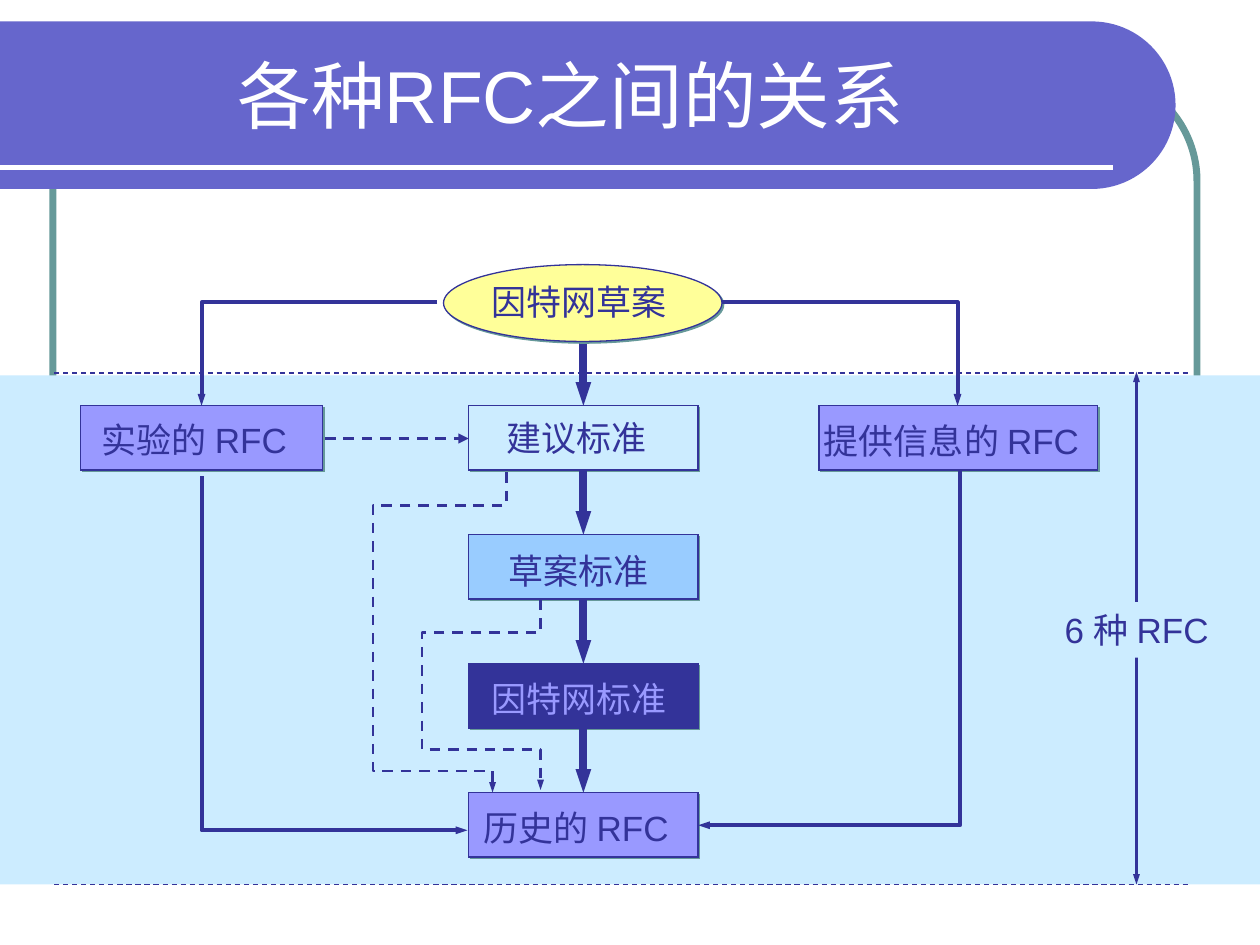
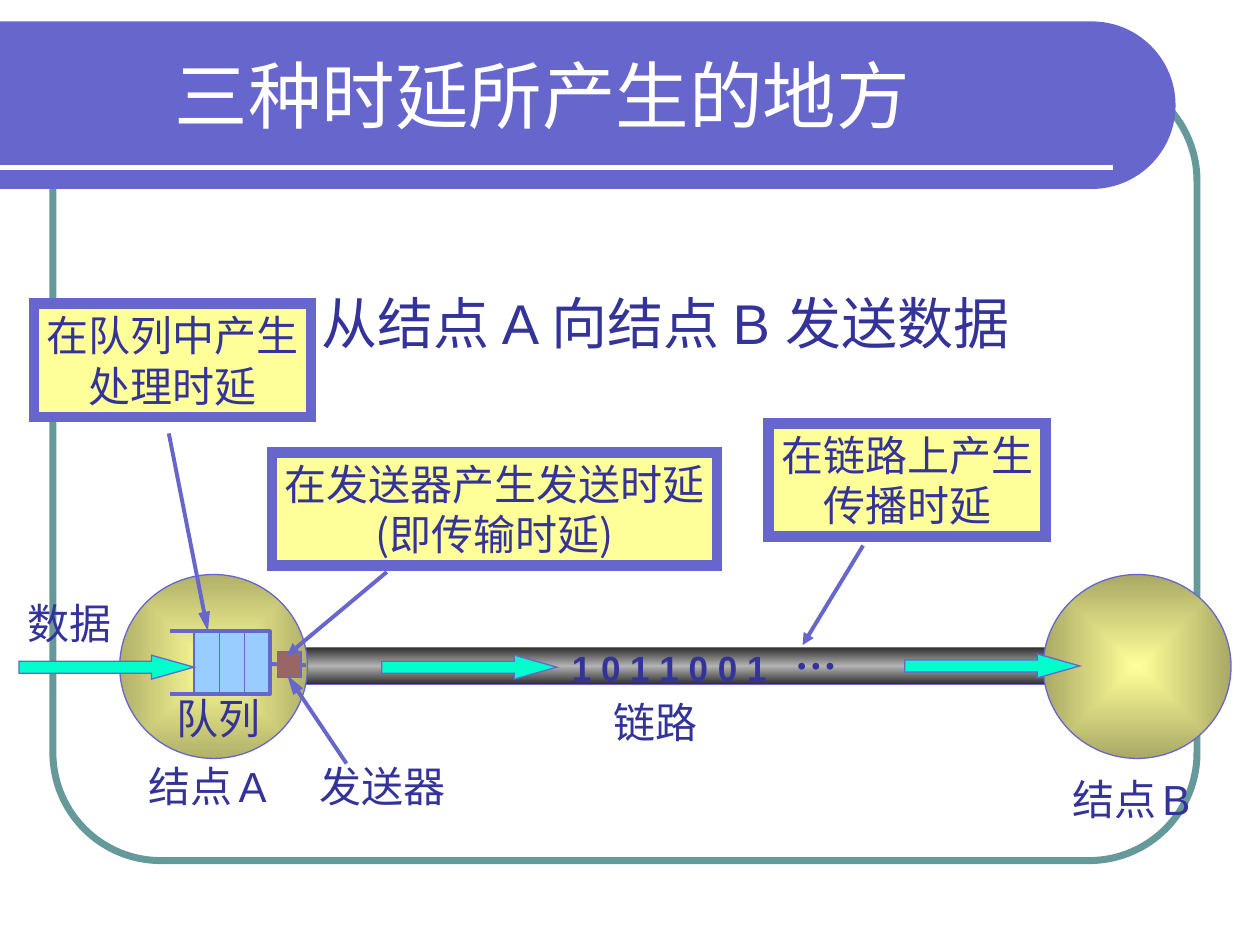
"""Build two networking slides: how RFC types relate, and where delays arise."""
from lxml.etree import SubElement
from pptx import Presentation
from pptx.dml.color import RGBColor
from pptx.enum.dml import MSO_LINE
from pptx.enum.shapes import MSO_CONNECTOR, MSO_SHAPE
from pptx.enum.text import MSO_ANCHOR, MSO_AUTO_SIZE, PP_ALIGN
from pptx.oxml import parse_xml
from pptx.oxml.ns import nsdecls, qn
from pptx.util import Inches, Pt

COLORS = {
    "white": "FFFFFF", "navy": "333399", "violet": "6666CC", "lilac": "9999FF",
    "teal": "669999", "ice": "CCECFF", "sky": "99CCFF", "yellow": "FFFF99",
    "mint": "00FFCC", "brown": "996666", "dark": "303030", "silver": "B2B2B2",
    "olive_a": "B1B16A", "olive_b": "A9A965",
}
CJK_FONT = "Noto Sans CJK SC"
SERIF = "Times New Roman"
SLIM, PLAIN, LONG = ("sm", "med"), ("med", "med"), ("med", "lg")

RFC_TITLE = ("各种RFC之间的关系 ", (0.21, 0.25, 8.77, 1))
DELAY_TITLE = ("三种时延所产生的地方 ", (0.34, 0.25, 8.06, 1))

TRACK_LEFT, TRACK_WIDTH, TRACK_TOP, TRACK_STEP = 3.72, 1.82, 3.22, 1.024
BOX_HEIGHT, TRACK_CENTER = 0.51, 4.63
DRAFT_BOTTOM = 2.71
STANDARDS_TRACK = [
    ("建议标准", "ice", "navy", (3.92, 3.26, 1.31, 0.44)),
    ("草案标准", "sky", "navy", (3.94, 4.31, 1.31, 0.44)),
    ("因特网标准", "navy", "lilac", (3.8, 5.33, 1.59, 0.44)),
    ("历史的 RFC", "lilac", "navy", (3.74, 6.35, 1.73, 0.44)),
]
SIDE_RFCS = [
    ("提供信息的 RFC", (6.5, 2.21), (6.44, 3.28, 2.29, 0.44)),
    ("实验的 RFC", (0.64, 1.92), (0.71, 3.27, 1.73, 0.44)),
]
SOLID_ROUTES = [
    [(5.73, 2.4), (7.6, 2.4), (7.6, 3.22)],
    [(3.47, 2.4), (1.6, 2.4), (1.6, 3.22)],
    [(1.6, 3.78), (1.6, 6.59), (3.71, 6.59)],
    [(7.62, 3.73), (7.62, 6.55), (5.54, 6.55)],
]
DASHED_ROUTES = [
    [(4.02, 3.75), (4.02, 4.01), (2.96, 4.01), (2.96, 6.12), (3.91, 6.12), (3.91, 6.29)],
    [(4.29, 4.76), (4.29, 5.02), (3.35, 5.02), (3.35, 5.95), (4.29, 5.95), (4.29, 6.27)],
]

NODES = [(0.95, "olive_a"), (8.28, "olive_b")]
QUEUE_LEFT, QUEUE_TOP, QUEUE_RIGHT, QUEUE_BOTTOM = 1.54, 5.01, 2.14, 5.51
DATA_ARROWS = [(3.03, 5.2), (0.15, 5.2), (7.18, 5.19)]
CALLOUTS = [
    (["在链路上产生", "传播时延"], (6.1, 3.36, 2.2, 0.9), (6.85, 4.33), (6.37, 5.12), PLAIN),
    (["在发送器产生发送时延", "(即传输时延)"], (2.16, 3.59, 3.53, 0.9),
     (3.07, 4.54), (2.28, 5.2), PLAIN),
    (["在队列中产生", "处理时延"], (0.27, 2.41, 2.2, 0.9), (1.34, 3.44), (1.65, 5.01), LONG),
]
DELAY_LABELS = [
    ("1 0 1 1 0 0 1", (4.44, 5.08, 1.75, 0.44), dict(size=20, bold=True)),
    ("…", (6.21, 4.93, 0.53, 0.5), dict(font=SERIF, bold=True)),
    ("发送器", (2.44, 5.99, 1.2, 0.5), dict(font=SERIF)),
    ("队列", (1.3, 5.45, 0.86, 0.5), dict(font=SERIF)),
    ("数据", (0.12, 4.69, 0.86, 0.5), dict(font=SERIF)),
    ("链路", (4.77, 5.48, 0.86, 0.5), dict(font=SERIF)),
    ("从结点 A 向结点 B 发送数据", (2.45, 2.24, 6.11, 0.64), dict(size=32)),
]
NODE_LABELS = [("B", (8.41, 6.09, 1.19, 0.5)), ("A", (1.08, 5.99, 1.19, 0.5))]


def rgb(name):
    return RGBColor.from_string(COLORS[name])


def inches(values):
    return [Inches(value) for value in values]


def write(frame, paragraphs, size=24, color="navy", font="Arial", bold=False,
          align=PP_ALIGN.LEFT):
    """Fill a frame; a paragraph is a string or a list of (text, size, font) runs."""
    for index, content in enumerate(paragraphs):
        paragraph = frame.paragraphs[0] if index == 0 else frame.add_paragraph()
        paragraph.alignment = align
        runs = [(content, size, font)] if isinstance(content, str) else content
        for text, run_size, run_font in runs:
            run = paragraph.add_run()
            run.text = text
            run.font.size = Pt(run_size)
            run.font.name = run_font
            run.font.bold = bold
            run.font.color.rgb = rgb(color)
            SubElement(run.font._element, qn("a:ea"), typeface=CJK_FONT)


def fit(frame, left, right):
    """Keep the frame's size and leave its lines enough room to stay whole."""
    frame.word_wrap = True
    frame.auto_size = MSO_AUTO_SIZE.NONE
    frame.vertical_anchor = MSO_ANCHOR.TOP
    frame.margin_left, frame.margin_right = inches((left, right))


def add_label(slide, text, at, fill=None, **style):
    label = slide.shapes.add_textbox(*inches(at))
    if fill:
        label.fill.solid()
        label.fill.fore_color.rgb = rgb(fill)
    fit(label.text_frame, 0.1, 0)
    write(label.text_frame, [text], **style)


def style_line(line, color, width, dashed=False, head=None, tail=None):
    line.color.rgb = rgb(color)
    line.width = Pt(width)
    if dashed:
        line.dash_style = MSO_LINE.DASH
    for tag, tip in (("a:headEnd", head), ("a:tailEnd", tail)):
        if tip:
            SubElement(line._get_or_add_ln(), qn(tag), type="triangle", w=tip[0], len=tip[1])


def add_block(slide, kind, at, fill=None, line=None, width=0.75, adjust=()):
    block = slide.shapes.add_shape(kind, *inches(at))
    block.shadow.inherit = False
    for index, value in enumerate(adjust):
        block.adjustments[index] = value
    if fill:
        block.fill.solid()
        block.fill.fore_color.rgb = rgb(fill)
    else:
        block.fill.background()
    if line:
        style_line(block.line, line, width)
        SubElement(block.line._get_or_add_ln(), qn("a:miter"), lim="800000")
    else:
        block.line.fill.background()
    return block


def add_line(slide, start, end, color="navy", width=0.75, **ends):
    line = slide.shapes.add_connector(MSO_CONNECTOR.STRAIGHT, *inches(start + end))
    style_line(line.line, color, width, **ends)
    SubElement(line.element.spPr, qn("a:effectLst"))
    return line


def add_route(slide, points, color="navy", width=2.25, **ends):
    start, *rest = [inches(point) for point in points]
    builder = slide.shapes.build_freeform(*start)
    builder.add_line_segments(rest, close=False)
    route = builder.convert_to_shape()
    route.shadow.inherit = False
    route.fill.background()
    style_line(route.line, color, width, **ends)


def add_shadowed(slide, kind, at, fill):
    block = add_block(slide, kind, at, fill, "navy")
    effects = block.element.spPr.find(qn("a:effectLst"))
    effects.append(parse_xml(
        f'<a:outerShdw {nsdecls("a")} dist="17780" dir="2700000" algn="ctr" rotWithShape="0">'
        f'<a:srgbClr val="{COLORS["teal"]}"/></a:outerShdw>'))


def set_gradient(block, stops, direction):
    marks = "".join(f'<a:gs pos="{position * 1000}"><a:srgbClr val="{COLORS[color]}"/></a:gs>'
                    for position, color in stops)
    properties = block.element.spPr
    properties.replace(properties.find(qn("a:noFill")), parse_xml(
        f'<a:gradFill {nsdecls("a")} rotWithShape="1"><a:gsLst>{marks}</a:gsLst>'
        f'{direction}</a:gradFill>'))


def add_frame(slide, layout):
    """Draw the shared border, title band and rule, and hand them to the layout."""
    border = add_block(slide, MSO_SHAPE.ROUNDED_RECTANGLE, (0.42, 0.58, 9.08, 6.25),
                       line="teal", width=4, adjust=[0.137])
    band = add_block(slide, MSO_SHAPE.ROUND_2_SAME_RECTANGLE, (4, -3.83, 1.33, 9.33),
                     "violet", adjust=[0.5, 0])
    band.rotation = 90
    rule = add_line(slide, (0, 1.33), (8.83, 1.33), "white", 3)
    for part in (border, band, rule):
        layout.shapes.element.append(part.element)


def add_title(slide, text, at):
    title = slide.shapes.title
    title.left, title.top, title.width, title.height = inches(at)
    title.text_frame.vertical_anchor = MSO_ANCHOR.MIDDLE
    title.text_frame.auto_size = MSO_AUTO_SIZE.NONE
    write(title.text_frame, [text], size=42, color="white", align=PP_ALIGN.CENTER)


def build_rfc_slide(slide):
    add_title(slide, *RFC_TITLE)
    add_block(slide, MSO_SHAPE.RECTANGLE, (0, 2.98, 10, 4.04), "ice")

    arrow_start = DRAFT_BOTTOM
    for index, (_, fill, _, _) in enumerate(STANDARDS_TRACK):
        top = TRACK_TOP + index * TRACK_STEP
        add_shadowed(slide, MSO_SHAPE.RECTANGLE,
                     (TRACK_LEFT, top, TRACK_WIDTH, BOX_HEIGHT), fill)
        add_line(slide, (TRACK_CENTER, arrow_start), (TRACK_CENTER, top), width=4.5, tail=SLIM)
        arrow_start = top + BOX_HEIGHT
    for _, (left, width), _ in SIDE_RFCS:
        add_shadowed(slide, MSO_SHAPE.RECTANGLE, (left, TRACK_TOP, width, BOX_HEIGHT), "lilac")
    add_shadowed(slide, MSO_SHAPE.OVAL, (3.52, 2.1, 2.21, 0.61), "yellow")

    for points in SOLID_ROUTES:
        add_route(slide, points, tail=SLIM)
    for points in DASHED_ROUTES:
        add_route(slide, points, width=1.5, dashed=True, tail=SLIM)
    add_line(slide, (2.58, 3.48), (3.72, 3.48), width=1.5, dashed=True, tail=PLAIN)

    add_label(slide, "因特网草案", (3.8, 2.18, 1.59, 0.44), size=20)
    for text, fill, color, at in STANDARDS_TRACK:
        add_label(slide, text, at, fill="navy" if fill == "navy" else None, size=20, color=color)
    for text, _, at in SIDE_RFCS:
        add_label(slide, text, at, size=20)

    for edge in (2.96, 7.02):
        add_line(slide, (0.43, edge), (9.44, edge), dashed=True)
    add_line(slide, (9.02, 2.95), (9.02, 7.02), width=1.5, head=SLIM, tail=SLIM)
    add_label(slide, "6 种 RFC", (8.35, 4.78, 1.48, 0.44), fill="ice", size=20)


def build_delay_slide(slide):
    add_title(slide, *DELAY_TITLE)
    link = add_block(slide, MSO_SHAPE.RECTANGLE, (2.34, 5.14, 6.04, 0.29), line="violet")
    set_gradient(link, [(0, "dark"), (50, "silver"), (100, "dark")],
                 '<a:lin ang="5400000" scaled="1"/>')
    for left, rim in NODES:
        node = add_block(slide, MSO_SHAPE.OVAL, (left, 4.56, 1.49, 1.46), line="violet")
        set_gradient(node, [(0, "yellow"), (100, rim)],
                     '<a:path path="rect"><a:fillToRect l="50000" t="50000" r="50000" '
                     'b="50000"/></a:path>')

    add_block(slide, MSO_SHAPE.RECTANGLE, (QUEUE_LEFT, QUEUE_TOP, 0.59, 0.5), "sky", "violet")
    add_route(slide, [(1.35, QUEUE_TOP), (QUEUE_RIGHT, QUEUE_TOP),
                      (QUEUE_RIGHT, QUEUE_BOTTOM), (1.35, QUEUE_BOTTOM)], "violet")
    for slot in range(3):
        x = QUEUE_LEFT + slot * 0.2
        add_line(slide, (x, QUEUE_TOP), (x, QUEUE_BOTTOM), "violet")
    add_line(slide, (2.13, 5.27), (2.43, 5.28), "violet", 2.25)
    add_block(slide, MSO_SHAPE.RECTANGLE, (2.2, 5.17, 0.19, 0.21), "brown", "violet")
    for left, top in DATA_ARROWS:
        add_block(slide, MSO_SHAPE.RIGHT_ARROW, (left, top, 1.39, 0.19), "mint", "violet",
                  adjust=[0.5, 1.78])

    for lines, at, start, end, tip in CALLOUTS:
        callout = add_block(slide, MSO_SHAPE.RECTANGLE, at, "yellow", "violet", 6)
        fit(callout.text_frame, 0.05, 0.05)
        write(callout.text_frame, lines, font=CJK_FONT, align=PP_ALIGN.CENTER)
        add_line(slide, start, end, "violet", 2.25, tail=tip)
    add_line(slide, (2.75, 6.06), (2.28, 5.36), "violet", 2.25, tail=LONG)

    for text, at, style in DELAY_LABELS:
        add_label(slide, text, at, **style)
    for letter, at in NODE_LABELS:
        add_label(slide, [("结点", 24, SERIF), (" ", 16, "Arial"), (letter, 24, "Arial")], at)


def main():
    deck = Presentation()
    deck.slide_width, deck.slide_height = Inches(10), Inches(7.5)
    layout = deck.slide_layouts.get_by_name("Title Only")
    rfc_slide, delay_slide = [deck.slides.add_slide(layout) for _ in range(2)]
    add_frame(rfc_slide, layout)
    build_rfc_slide(rfc_slide)
    build_delay_slide(delay_slide)
    deck.save("out.pptx")


if __name__ == "__main__":
    main()
